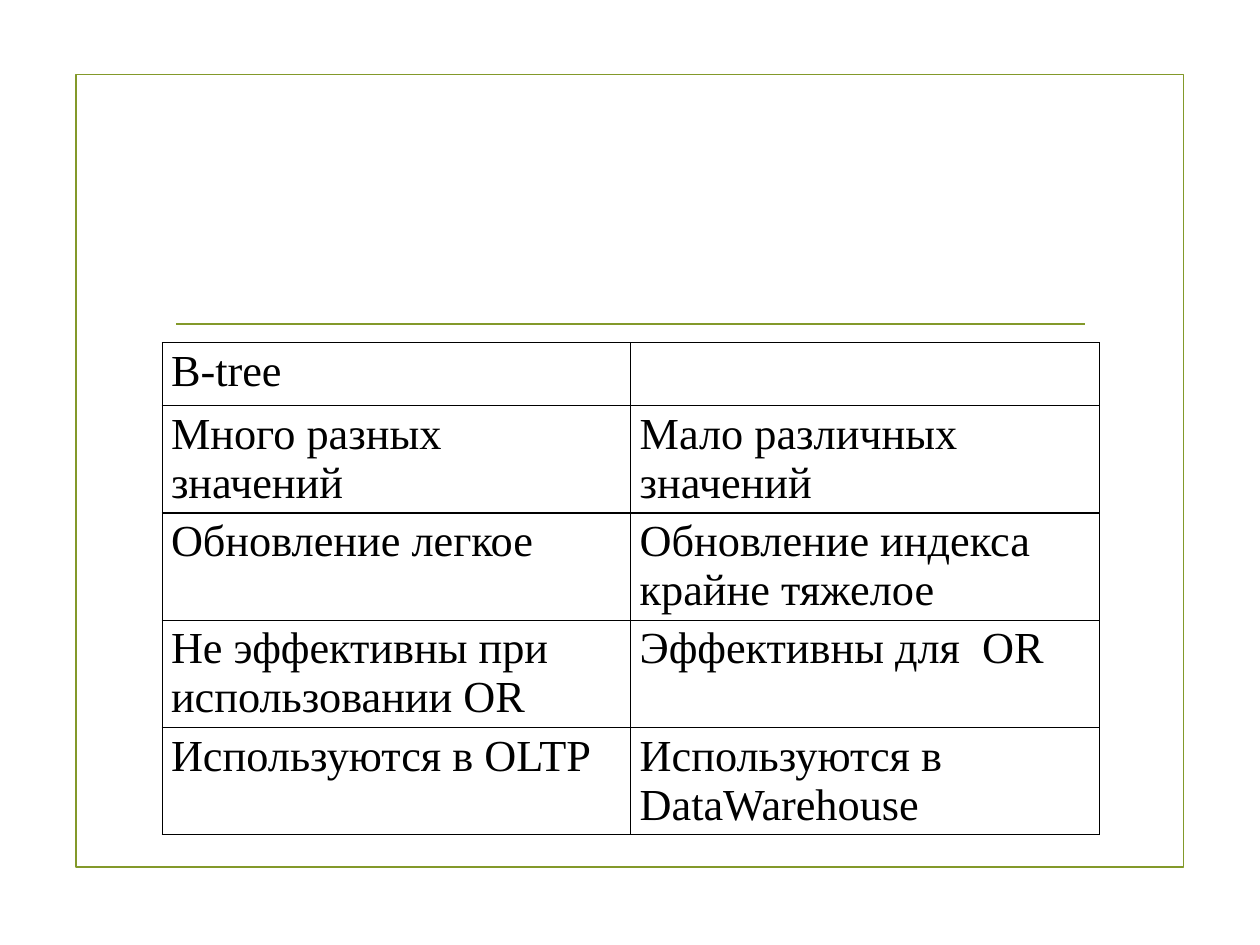
from dataclasses import dataclass

from lxml import etree
from pptx import Presentation, util as u
from pptx.dml import color
from pptx.enum import shapes, text
from pptx.oxml import ns

SCALE = 9144
FONT, SIZE = "Times New Roman", 36
GREEN, BLACK, WHITE = "83992A", "000000", "FFFFFF"


@dataclass
class Row:
    btree: str
    bitmap: str
    height: int = 121


ROWS = [
    Row("B-tree", "", 65),
    Row("Много разных значений", "Мало различных значений"),
    Row("Обновление легкое", "Обновление индекса крайне тяжелое"),
    Row("Не эффективны при использовании OR", "Эффективны для  OR"),
    Row("Используются в OLTP", "Используются в DataWarehouse"),
]


def px(n: int) -> int:
    return u.Emu(n * SCALE)


def rgb(value: str) -> color.RGBColor:
    return color.RGBColor.from_string(value)


def set_line(sp) -> None:
    sp.line.color.rgb = rgb(GREEN)
    sp.line.width = u.Pt(1.25)


def add_frame(s) -> None:
    sp = s.shapes.add_shape(shapes.MSO_SHAPE.RECTANGLE, px(86), px(84), px(1250), px(895))
    sp.shadow.inherit = False
    sp.fill.background()
    set_line(sp)


def add_rule(s) -> None:
    sp = s.shapes.add_connector(shapes.MSO_CONNECTOR.STRAIGHT, px(199), px(366), px(1225), px(366))
    set_line(sp)
    etree.SubElement(sp._element.spPr, ns.qn("a:effectLst"))


def set_borders(cell) -> None:
    pr = cell._tc.get_or_add_tcPr()
    for side in ("lnL", "lnR", "lnT", "lnB"):
        ln = etree.SubElement(pr, ns.qn(f"a:{side}"), w=str(u.Pt(1)))
        fill = etree.SubElement(ln, ns.qn("a:solidFill"))
        etree.SubElement(fill, ns.qn("a:srgbClr"), val=BLACK)


def fill_cell(cell, words: str) -> None:
    set_borders(cell)
    cell.fill.background()
    p = cell.text_frame.paragraphs[0]
    p.alignment = text.PP_ALIGN.LEFT
    p.font.size = u.Pt(SIZE)
    if words:
        r = p.add_run()
        r.text = words
        r.font.name = FONT
        r.font.size = u.Pt(SIZE)
        r.font.color.rgb = rgb(BLACK)


def add_comparison(s) -> None:
    height = sum(row.height for row in ROWS)
    tbl = s.shapes.add_table(len(ROWS), 2, px(183), px(387), px(1058), px(height)).table
    tbl.first_row = False
    tbl.horz_banding = False
    for i, row in enumerate(ROWS):
        tbl.rows[i].height = px(row.height)
        for j, words in enumerate((row.btree, row.bitmap)):
            fill_cell(tbl.cell(i, j), words)


def main() -> None:
    prs = Presentation()
    prs.slide_width, prs.slide_height = px(1422), px(1067)
    s = prs.slides.add_slide(prs.slide_layouts[6])
    s.background.fill.solid()
    s.background.fill.fore_color.rgb = rgb(WHITE)
    add_frame(s)
    add_rule(s)
    add_comparison(s)
    prs.save("out.pptx")


if __name__ == "__main__":
    main()
